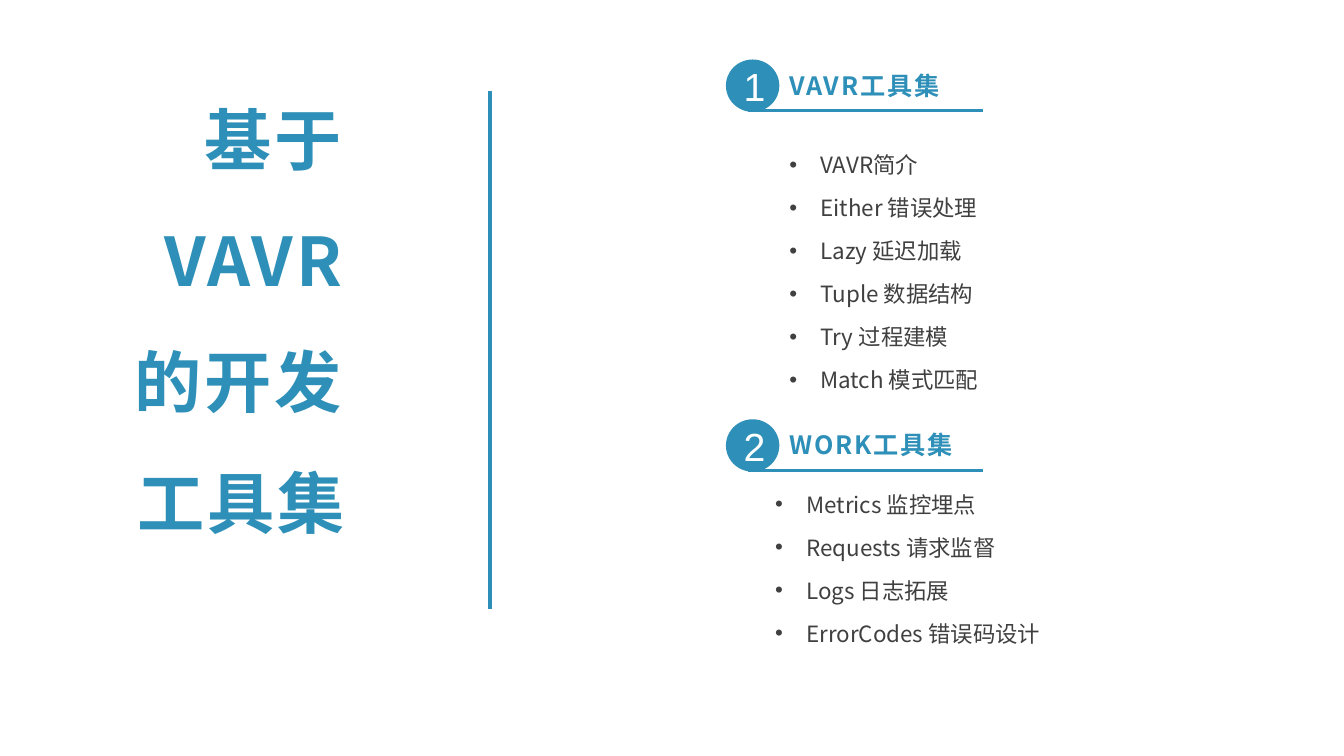
from lxml.etree import SubElement
from pptx import Presentation
from pptx.dml.color import RGBColor
from pptx.enum.shapes import MSO_CONNECTOR, MSO_SHAPE
from pptx.enum.text import MSO_ANCHOR, MSO_AUTO_SIZE, PP_ALIGN
from pptx.oxml.ns import qn
from pptx.util import Inches, Pt

BLUE = RGBColor(0x2E, 0x90, 0xB8)
GRAY = RGBColor(0x40, 0x40, 0x40)
WHITE = RGBColor(0xFF, 0xFF, 0xFF)
CJK_FONT = "Noto Sans CJK SC"

presentation = Presentation()
presentation.slide_width = Inches(13.33)
presentation.slide_height = Inches(7.5)
slide = presentation.slides.add_slide(presentation.slide_layouts[6])


def add_run(paragraph, text, size, color, font=CJK_FONT, bold=False, spacing=0):
    run = paragraph.add_run()
    run.text = text
    run.font.size = Pt(size)
    run.font.bold = bold
    run.font.color.rgb = color
    run.font.name = font
    properties = run.font._element
    SubElement(properties, qn("a:ea")).set("typeface", font)
    if spacing:
        properties.set("spc", str(int(spacing * 100)))


def add_line(left, top, right, bottom):
    line = slide.shapes.add_connector(
        MSO_CONNECTOR.STRAIGHT, Inches(left), Inches(top), Inches(right), Inches(bottom))
    line.line.color.rgb = BLUE
    line.line.width = Pt(2.25)
    SubElement(line._element.spPr, qn("a:effectLst"))


# Title and divider
title = slide.shapes.add_textbox(Inches(1.18), Inches(0.53), Inches(2.34), Inches(4.81))
title.text_frame.word_wrap = True
title.text_frame.auto_size = MSO_AUTO_SIZE.SHAPE_TO_FIT_TEXT
paragraph = title.text_frame.paragraphs[0]
paragraph.alignment = PP_ALIGN.RIGHT
paragraph.line_spacing = 1.5
add_run(paragraph, "基于VAVR的开发工具集", 48, BLUE, bold=True, spacing=2)
add_line(4.86, 0.9, 4.86, 6.04)

# Sections: heading, heading top, list left, top and width, topics
sections = [
    ("VAVR工具集", 0.59, 7.73, 1.29, 3.16,
     ["VAVR简介", "Either 错误处理", "Lazy 延迟加载", "Tuple 数据结构",
      "Try 过程建模", "Match 模式匹配"]),
    ("WORK工具集", 4.16, 7.59, 4.66, 3.04,
     ["Metrics 监控埋点", "Requests 请求监督", "Logs 日志拓展", "ErrorCodes 错误码设计"]),
]
for number, (name, top, list_left, list_top, list_width, topics) in enumerate(sections, 1):
    # Numbered circle
    circle = slide.shapes.add_shape(
        MSO_SHAPE.OVAL, Inches(7.2), Inches(top), Inches(0.53), Inches(0.52))
    circle.shadow.inherit = False
    circle.fill.solid()
    circle.fill.fore_color.rgb = BLUE
    circle.line.fill.background()
    circle.text_frame.vertical_anchor = MSO_ANCHOR.MIDDLE
    paragraph = circle.text_frame.paragraphs[0]
    paragraph.alignment = PP_ALIGN.CENTER
    add_run(paragraph, str(number), 28, WHITE, font="Arial")

    # Underlined heading
    add_line(7.42, top + 0.505, 9.75, top + 0.505)
    heading = slide.shapes.add_textbox(
        Inches(7.73), Inches(top + 0.055), Inches(2.02), Inches(0.4))
    heading.text_frame.word_wrap = True
    heading.text_frame.auto_size = MSO_AUTO_SIZE.SHAPE_TO_FIT_TEXT
    add_run(heading.text_frame.paragraphs[0], name, 18, BLUE, bold=True, spacing=1.3)

    # Bulleted topics
    topic_list = slide.shapes.add_textbox(
        Inches(list_left), Inches(list_top), Inches(list_width), Inches(2.62))
    frame = topic_list.text_frame
    frame.word_wrap = True
    for index, topic in enumerate(topics):
        paragraph = frame.add_paragraph() if index else frame.paragraphs[0]
        paragraph.line_spacing = 1.6
        properties = paragraph._p.get_or_add_pPr()
        properties.set("marL", str(Inches(0.31)))
        properties.set("indent", str(-Inches(0.31)))
        SubElement(properties, qn("a:buFont")).set("typeface", "Arial")
        SubElement(properties, qn("a:buChar")).set("char", "•")
        add_run(paragraph, topic, 16, GRAY)

presentation.save("out.pptx")
